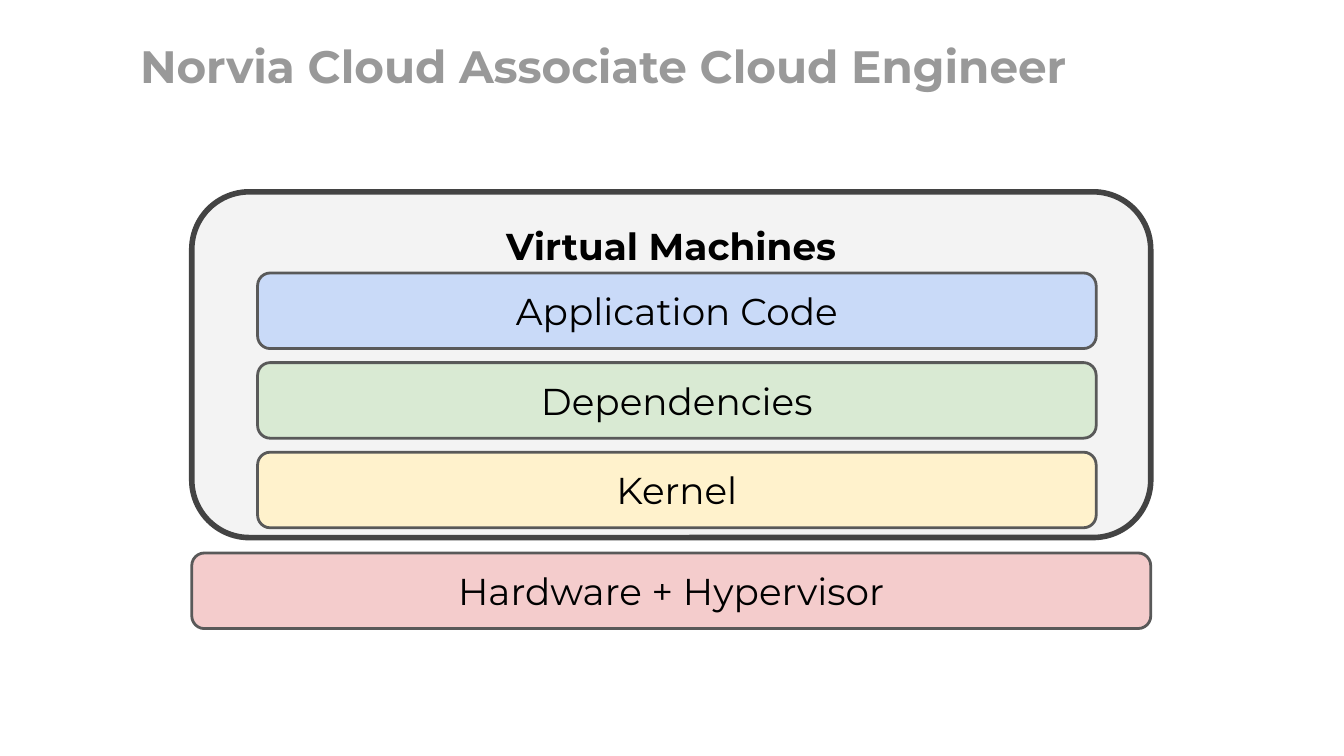
"""Draw the layers of a virtual machine as a stack of boxes."""
import dataclasses

import pptx
import pptx.dml.color
import pptx.enum.shapes
import pptx.enum.text
import pptx.util

PX = 9525
PAD = 10
FONT = "Montserrat"
ALIGN = pptx.enum.text.PP_ALIGN
ANCHOR = pptx.enum.text.MSO_ANCHOR


@dataclasses.dataclass
class Box:
    """A rounded box with one centred label."""
    text: str
    left: int
    top: int
    width: int
    height: int
    fill: str
    line: str = "595959"
    weight: float = 1.5
    bold: bool = False
    anchor: ANCHOR = ANCHOR.MIDDLE


def px(count: int) -> int:
    """Turn pixels into EMU."""
    return pptx.util.Emu(count * PX)


def color(code: str) -> pptx.dml.color.RGBColor:
    """Turn a hex string into a colour."""
    return pptx.dml.color.RGBColor.from_string(code)


def write(shape, text: str, size: float, ink: str, bold: bool,
          align: ALIGN, anchor: ANCHOR) -> None:
    """Put one line of text into a shape."""
    frame = shape.text_frame
    frame.word_wrap = True
    frame.vertical_anchor = anchor
    frame.margin_left = frame.margin_right = px(PAD)
    frame.margin_top = frame.margin_bottom = px(PAD)
    line = frame.paragraphs[0]
    line.alignment = align
    run = line.add_run()
    run.text = text
    run.font.name = FONT
    run.font.size = pptx.util.Pt(size)
    run.font.bold = bold
    run.font.color.rgb = color(ink)


def draw(slide, box: Box) -> None:
    """Draw one box on the slide."""
    shape = slide.shapes.add_shape(
        pptx.enum.shapes.MSO_SHAPE.ROUNDED_RECTANGLE,
        px(box.left), px(box.top), px(box.width), px(box.height))
    shape.shadow.inherit = False
    shape.fill.solid()
    shape.fill.fore_color.rgb = color(box.fill)
    shape.line.color.rgb = color(box.line)
    shape.line.width = pptx.util.Pt(box.weight)
    write(shape, box.text, 20, "000000", box.bold, ALIGN.CENTER, box.anchor)


def main() -> None:
    """Build and save the slide."""
    deck = pptx.Presentation()
    deck.slide_width, deck.slide_height = px(960), px(540)
    slide = deck.slides.add_slide(deck.slide_layouts[6])

    title = slide.shapes.add_textbox(px(90), px(16), px(818), px(60))
    write(title, "Norvia Cloud Associate Cloud Engineer", 24.3, "999999",
          True, ALIGN.LEFT, ANCHOR.BOTTOM)

    draw(slide, Box("Virtual Machines", 137, 137, 685, 247, "F3F3F3",
                    "434343", 3, True, ANCHOR.TOP))
    layers = [("Application Code", "C9DAF8"), ("Dependencies", "D9EAD3"),
              ("Kernel", "FFF2CC")]
    for row, (text, fill) in enumerate(layers):
        draw(slide, Box(text, 184, 195 + 64 * row, 599, 54, fill))
    draw(slide, Box("Hardware + Hypervisor", 137, 395, 685, 54, "F4CCCC"))

    deck.save("out.pptx")


if __name__ == "__main__":
    main()
